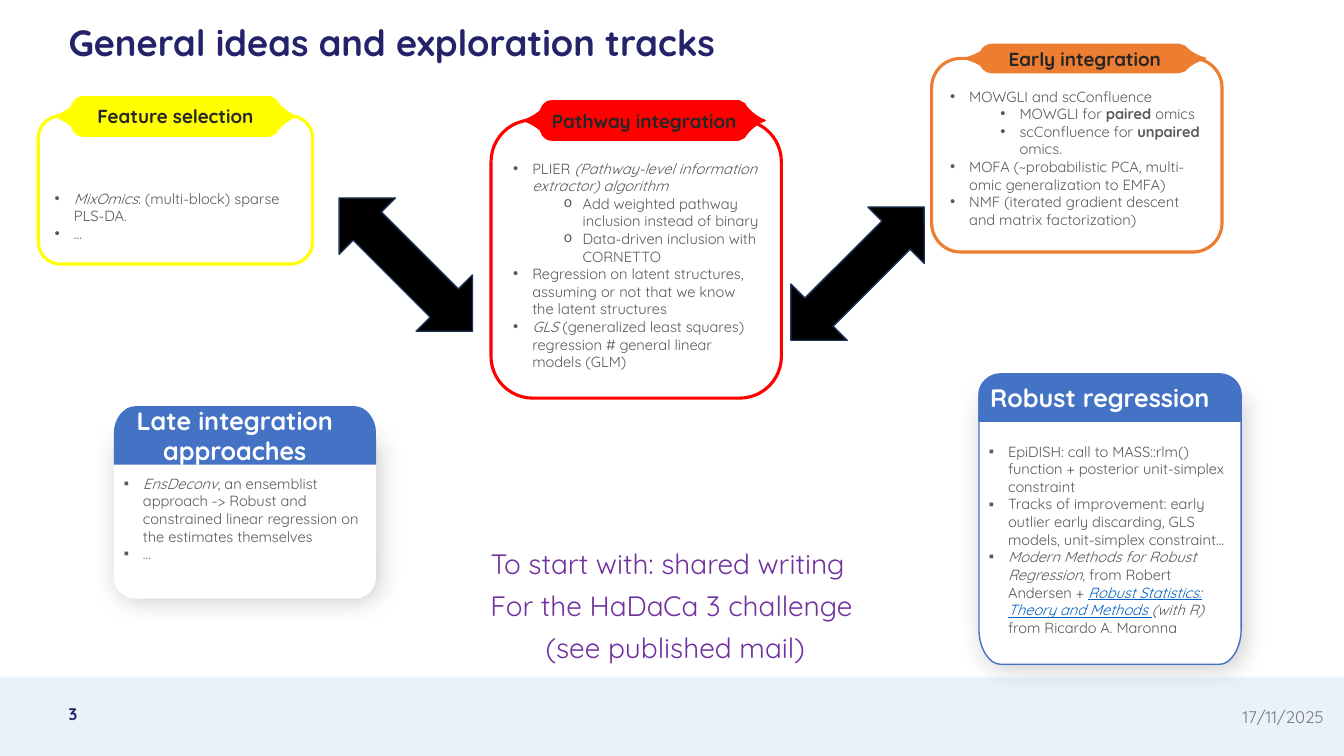
"""Build the slide of general ideas and exploration tracks."""
from lxml import etree
from pptx import Presentation
from pptx.dml.color import RGBColor
from pptx.enum import shapes, text
from pptx.oxml import parse_xml
from pptx.oxml.ns import nsdecls, qn
from pptx.util import Inches, Pt

WHITE = RGBColor(0xFF, 0xFF, 0xFF)
BLACK = RGBColor(0, 0, 0)
NAVY = RGBColor(0x24, 0x22, 0x69)
ARROW_EDGE = RGBColor(0x1E, 0x32, 0x56)
BAND = RGBColor(0xDE, 0xEB, 0xF7)
YELLOW = RGBColor(0xFF, 0xFF, 0)
RED = RGBColor(0xFF, 0, 0)
ORANGE = RGBColor(0xED, 0x7D, 0x31)
BLUE = RGBColor(0x44, 0x72, 0xC4)
LINK = RGBColor(0x05, 0x63, 0xC1)
GRAY = RGBColor(0x59, 0x59, 0x59)
DATE_GRAY = RGBColor(0x79, 0x79, 0x79)
DARK = RGBColor(0x26, 0x26, 0x26)
PURPLE = RGBColor(0x70, 0x30, 0xA0)
LEFT, CENTER, RIGHT = text.PP_ALIGN.LEFT, text.PP_ALIGN.CENTER, text.PP_ALIGN.RIGHT
TOP, MIDDLE, BOTTOM = text.MSO_ANCHOR.TOP, text.MSO_ANCHOR.MIDDLE, text.MSO_ANCHOR.BOTTOM
IT, BD = {"italic": True}, {"bold": True}
LINKED = {"italic": True, "underline": True}

prs = Presentation()
prs.slide_width, prs.slide_height = Inches(13.33), Inches(7.5)
s = prs.slides.add_slide(prs.slide_layouts[6])


def outline(nodes, left, top, width, height, fill, line=None):
    spots = [(Inches(left + n[-2] * width), Inches(top + n[-1] * height)) for n in nodes]
    fb = s.shapes.build_freeform(*spots[0])
    fb.add_line_segments(spots[1:], close=True)
    sp = fb.convert_to_shape()
    for node, step in zip(nodes[1:], list(sp._element.iter(qn("a:lnTo")))):
        if len(node) == 6:
            step.tag = qn("a:cubicBezTo")
            step.clear()
            for x, y in zip(node[::2], node[1::2]):
                pt = etree.SubElement(step, qn("a:pt"))
                pt.set("x", str(Inches(x * width)))
                pt.set("y", str(Inches(y * height)))
    sp.shadow.inherit = False
    sp.fill.solid()
    sp.fill.fore_color.rgb = fill
    if line is None:
        sp.line.fill.background()
    else:
        sp.line.color.rgb, sp.line.width = line, Pt(1)
    return sp


def write(sp, paras, size, color, bold=None, align=LEFT, anchor=MIDDLE,
          ins=(0.1, 0.05, 0.1, 0.05), bullets=None, before=0, spacing=None):
    tf = sp.text_frame
    frame = {"word_wrap": True, "vertical_anchor": anchor}
    frame.update(zip(("margin_left", "margin_top", "margin_right", "margin_bottom"), map(Inches, ins)))
    for name, value in frame.items():
        setattr(tf, name, value)
    for i, (level, runs) in enumerate(paras):
        p = tf.paragraphs[0] if i == 0 else tf.add_paragraph()
        p.alignment, p.level = align, level
        if before and i:
            p.space_before = Pt(before)
        if spacing:
            p.line_spacing = Pt(spacing)
        if bullets:
            pPr = p._p.get_or_add_pPr()
            pPr.set("marL", str(Inches(0.19 + 0.5 * level)))
            pPr.set("indent", str(-Inches(0.19)))
            face = "Courier New" if bullets[level] == "o" else "Arial"
            etree.SubElement(pPr, qn("a:buFont")).set("typeface", face)
            etree.SubElement(pPr, qn("a:buChar")).set("char", bullets[level])
        for words, style in runs:
            r = p.add_run()
            r.text = words
            for name, value in {"name": "Quicksand", "size": Pt(size), "bold": bold, **style}.items():
                setattr(r.font, name, value)
            r.font.color.rgb = LINK if style is LINKED else color


band = s.shapes.add_shape(shapes.MSO_SHAPE.RECTANGLE, 0, Inches(6.72), prs.slide_width, Inches(0.78))
band.shadow.inherit = False
band.fill.solid()
band.fill.fore_color.rgb = BAND
band.line.fill.background()
tint = band._element.spPr.find(qn("a:solidFill"))[0]
etree.SubElement(tint, qn("a:alpha")).set("val", "66000")

flat = (0, 0, 0, 0)
labels = [
    ((0.68, 6.88, 0.45, 0.4), ["3"], dict(size=12, color=NAVY, bold=True, ins=flat)),
    ((0.68, 0.19, 11.3, 0.85), ["General ideas and exploration tracks"],
     dict(size=26, color=NAVY, bold=True, ins=flat, anchor=TOP, spacing=32)),
    ((10.23, 6.91, 3, 0.4), ["17/11/2025"], dict(size=12, color=DATE_GRAY, align=RIGHT)),
    ((0.45, 5.37, 12.42, 1.35),
     ["To start with: shared writing ", "For the HaDaCa 3 challenge", " (see published mail)"],
     dict(size=20, color=PURPLE, align=CENTER, anchor=TOP, before=6)),
]
for place, lines, look in labels:
    box = s.shapes.add_textbox(*map(Inches, place))
    write(box, [(0, [(words, {})]) for words in lines], **look)

ribbon = [
    (0, .5), (.02, .46, .05, .37, .07, .26), (.08, .13), (.09, .05, .1, 0, .12, 0),
    (.88, 0), (.89, 0, .9, 0, .9, .03), (.91, .05, .92, .08, .92, .13),
    (.94, .3, .97, .43, 1, .5), (.97, .57, .94, .7, .92, .87),
    (.92, .92, .91, .95, .9, .97), (.9, 1, .89, 1, .88, 1), (.12, 1),
    (.1, 1, .09, .95, .08, .87), (.07, .74), (.05, .63, .02, .54, 0, .5)]

frames = [
    ("Feature selection", YELLOW, (0.38, 1.15, 2.72, 1.47), (0.54, 0.96, 2.4, 0.39), "•", [
        (0, [("MixOmics", IT), (": (multi-block) sparse PLS-DA.", {})]),
        (0, [("…", {})])]),
    ("Pathway integration", RED, (4.87, 1.19, 2.88, 2.76), (5.19, 1, 2.4, 0.39), "•o", [
        (0, [("PLIER", {}), (" (Pathway-level information extractor) algorithm", IT)]),
        (1, [("Add weighted pathway inclusion instead of binary", {})]),
        (1, [("Data-driven inclusion with CORNETTO", {})]),
        (0, [("Regression on latent structures, assuming or not that we know the latent structures", {})]),
        (0, [("GLS", IT), (" (generalized least squares) regression # general linear models (GLM)", {})])]),
    ("Early integration", ORANGE, (9.24, 0.58, 2.88, 1.92), (9.56, 0.44, 2.4, 0.28), "••", [
        (0, [("MOWGLI and scConfluence", {})]),
        (1, [("MOWGLI for ", {}), ("paired ", BD), ("omics", {})]),
        (1, [("scConfluence for ", {}), ("unpaired ", BD), ("omics.", {})]),
        (0, [("MOFA (~probabilistic PCA, multi-omic generalization to EMFA)", {})]),
        (0, [("NMF (iterated gradient descent and matrix factorization)", {})])]),
]
for title, color, place, tab, bullets, paras in frames:
    sp = s.shapes.add_shape(shapes.MSO_SHAPE.ROUNDED_RECTANGLE, *map(Inches, place))
    sp.adjustments[0] = 0.15
    sp.shadow.inherit = False
    sp.fill.solid()
    sp.fill.fore_color.rgb = WHITE
    sp.line.color.rgb, sp.line.width = color, Pt(2.25)
    write(sp, paras, 10.5, GRAY, anchor=BOTTOM, ins=(0.1, 0.05, 0.1, 0.15), bullets=bullets)
    tag = outline(ribbon, *tab, color, color)
    write(tag, [(0, [(title, {})])], 13.5, DARK, bold=True, align=CENTER)

cards = [
    ("Late integration approaches", None, (1.13, 4.35, 2.6, 1.59), 0.13, (1.13, 4.03, 2.6, 0.58), 0.45, 0.23, [
        (0, [("EnsDeconv", IT), (", an ensemblist approach -> Robust and constrained linear "
                                 "regression on the estimates themselves", {})]),
        (0, [("…", {})])]),
    ("Robust regression", BLUE, (9.71, 3.93, 2.6, 2.66), 0.13, (9.71, 3.71, 2.6, 0.47), 0.43, 0.05, [
        (0, [("EpiDISH: call to MASS::rlm() function + posterior unit-simplex constraint", {})]),
        (0, [("Tracks of improvement: early outlier early discarding, GLS models, "
              "unit-simplex constraint…", {})]),
        (0, [("Modern Methods for Robust Regression", IT), (", from Robert Andersen + ", {}),
             ("Robust Statistics: Theory and Methods ", LINKED), ("(with R)", IT),
             (" from Ricardo A. Maronna", {})])]),
]
for title, edge, place, foot, head, crown, pad, paras in cards:
    body_nodes, head_nodes = (
        [(0, 1), (0, r), (0, .45 * r, .04, 0, .08, 0), (.92, 0), (.96, 0, 1, .45 * r, 1, r), (1, 1)]
        for r in (foot, crown))
    body_nodes = [tuple(1 - v if i % 2 else v for i, v in enumerate(n)) for n in body_nodes]
    body = outline(body_nodes, *place, WHITE, edge)
    body._element.spPr.find(qn("a:effectLst")).append(parse_xml(
        f'<a:outerShdw {nsdecls("a")} blurRad="{Pt(18)}" dist="{Pt(3)}" dir="2700000" algn="tl" '
        'rotWithShape="0"><a:srgbClr val="000000"><a:alpha val="20000"/></a:srgbClr></a:outerShdw>'))
    write(body, paras, 10.5, GRAY, ins=(0.1, 0.23, 0.1, pad), bullets="▪")
    header = outline(head_nodes, *head, BLUE, edge)
    write(header, [(0, [(title, {})])], 18, WHITE, bold=True, align=CENTER, ins=(0.1, 0.05, 0.3, 0.05))

for left, top, angle in ((3.63, 1.69, 315), (8.11, 1.78, 45)):
    arrow = s.shapes.add_shape(shapes.MSO_SHAPE.UP_DOWN_ARROW, *map(Inches, (left, top, 0.79, 1.87)))
    arrow.rotation = angle
    arrow.shadow.inherit = False
    arrow.fill.solid()
    arrow.fill.fore_color.rgb = BLACK
    arrow.line.color.rgb, arrow.line.width = ARROW_EDGE, Pt(1)

prs.save("out.pptx")
